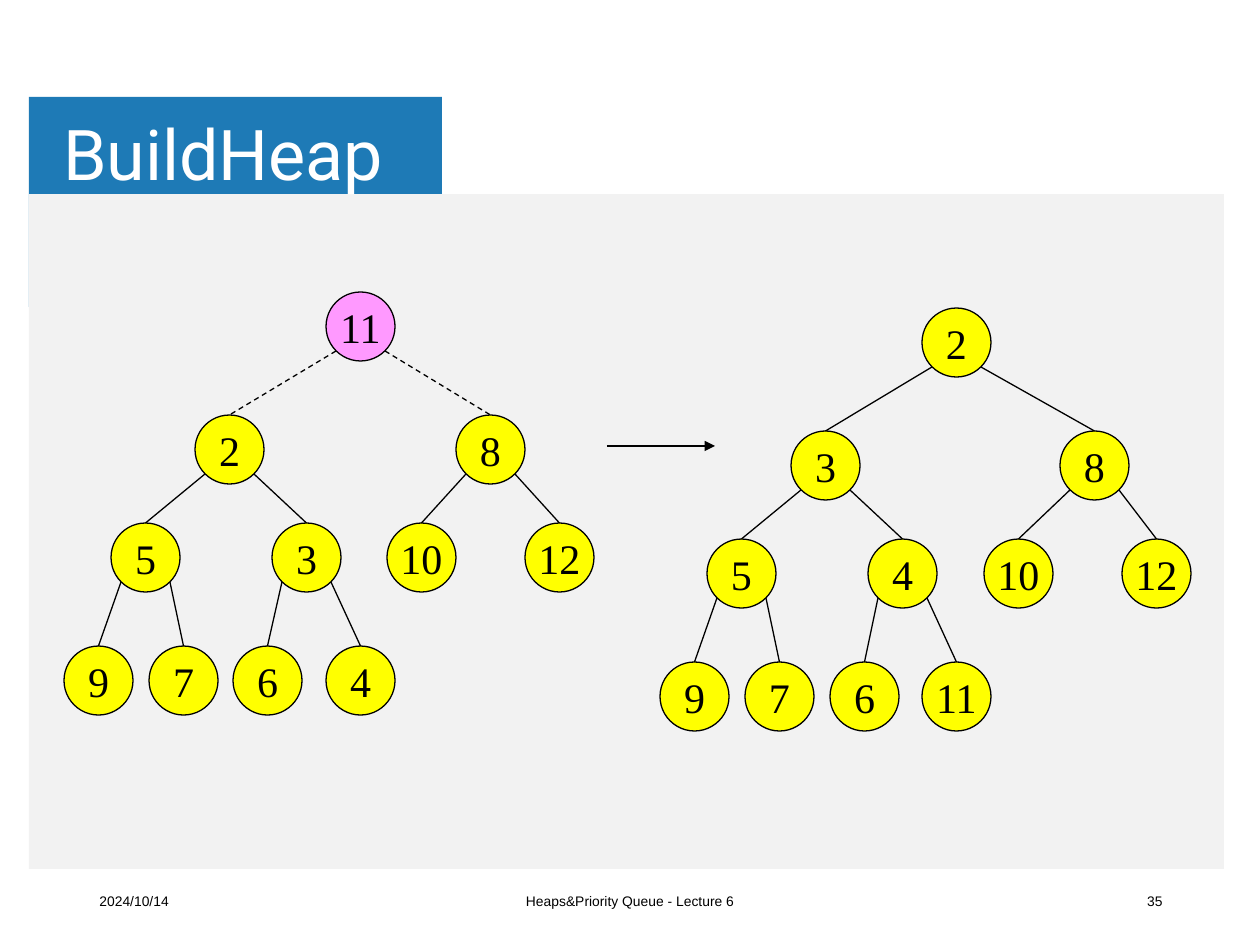
from lxml.etree import SubElement
from pptx import Presentation
from pptx.dml.color import RGBColor
from pptx.enum.dml import MSO_LINE
from pptx.enum.shapes import MSO_CONNECTOR as Link, MSO_SHAPE as Preset
from pptx.enum.text import MSO_ANCHOR as Anchor, PP_ALIGN as Align
from pptx.oxml.ns import qn
from pptx.util import Emu, Pt

BLACK = RGBColor(0, 0, 0)
WHITE = RGBColor(255, 255, 255)
BLUE = RGBColor(0x1E, 0x7A, 0xB6)
GREY = RGBColor(0xF2, 0xF2, 0xF2)
YELLOW = RGBColor(255, 255, 0)
PINK = RGBColor(255, 0x99, 255)

EMU_PER_PX = 914400 / 126
NODE = 69
LEVELS = [0, 123, 231, 354]


def px(length):
    return Emu(round(length * EMU_PER_PX))


class HeapSlide:
    def __init__(self, deck):
        self.slide = deck.slides.add_slide(deck.slide_layouts[6])
        self.shapes = self.slide.shapes

    def fill_text(self, frame, text, size, font, color, align):
        frame.text = text
        frame.vertical_anchor = Anchor.MIDDLE
        paragraph = frame.paragraphs[0]
        paragraph.alignment = align
        style = paragraph.runs[0].font
        style.size, style.name = Pt(size), font
        style.color.rgb = color

    def shape(self, preset, left, top, width, height, fill):
        shape = self.shapes.add_shape(preset, px(left), px(top), px(width), px(height))
        shape.shadow.inherit = False
        shape.fill.solid()
        shape.fill.fore_color.rgb = fill
        return shape

    def panel(self, left, top, width, height, fill):
        self.shape(Preset.RECTANGLE, left, top, width, height, fill).line.fill.background()

    def text(self, left, top, width, height, text, size=7.9, font="Arial",
             color=BLACK, align=Align.LEFT):
        frame = self.shapes.add_textbox(px(left), px(top), px(width), px(height)).text_frame
        frame.word_wrap = True
        self.fill_text(frame, text, size, font, color, align)
        return frame

    def node(self, left, top, key, fill):
        circle = self.shape(Preset.OVAL, left, top, NODE, NODE, fill)
        circle.line.color.rgb = BLACK
        circle.line.width = Pt(0.75)
        circle.text_frame.word_wrap = False
        self.fill_text(circle.text_frame, str(key), 24, "Times New Roman", BLACK, Align.CENTER)
        return circle

    def line(self, x1, y1, x2, y2, dashed=False, arrow=False):
        line = self.shapes.add_connector(Link.STRAIGHT, px(x1), px(y1), px(x2), px(y2))
        line.line.color.rgb = BLACK
        line.line.width = Pt(0.75)
        if dashed:
            line.line.dash_style = MSO_LINE.DASH
        if arrow:
            SubElement(line._element.spPr.find(qn("a:ln")), qn("a:tailEnd"), type="triangle")
        SubElement(line._element.spPr, qn("a:effectLst"))
        return line

    def heap(self, top, keys, lefts, root_fill=YELLOW, root_dashed=False):
        tops = [top + LEVELS[(i + 1).bit_length() - 1] for i in range(len(keys))]
        circles = [self.node(left, y, key, YELLOW if i else root_fill)
                   for i, (left, y, key) in enumerate(zip(lefts, tops, keys))]
        for child in range(1, len(keys)):
            parent = (child - 1) // 2
            side = 10 if child % 2 else 59
            edge = self.line(lefts[parent] + side, tops[parent] + 59,
                             lefts[child] + NODE // 2, tops[child],
                             dashed=root_dashed and parent == 0)
            edge.end_connect(circles[child], 0)


def main():
    deck = Presentation()
    deck.slide_width, deck.slide_height = px(1260), px(945)
    page = HeapSlide(deck)

    page.panel(29, 97, 413, 210, BLUE)
    page.panel(29, 194, 1195, 675, GREY)
    title = page.text(54, 96, 1012, 123, "BuildHeap", 40, "Roboto", WHITE)
    title.paragraphs[0].line_spacing = 0.9
    title.margin_left = title.margin_right = px(9)
    title.margin_top = title.margin_bottom = px(5)

    page.text(87, 876, 284, 50, "2024/10/14")
    page.text(417, 876, 426, 50, "Heaps&Priority Queue - Lecture 6", align=Align.CENTER)
    page.text(891, 876, 284, 50, "35", align=Align.RIGHT)

    page.heap(292, [11, 2, 8, 5, 3, 10, 12, 9, 7, 6, 4],
              [326, 195, 456, 111, 272, 387, 525, 64, 149, 233, 326],
              root_fill=PINK, root_dashed=True)
    page.heap(308, [2, 3, 8, 5, 4, 10, 12, 9, 7, 6, 11],
              [922, 791, 1060, 707, 868, 984, 1122, 660, 745, 830, 922])
    page.line(607, 446, 715, 446, arrow=True)
    deck.save("out.pptx")


if __name__ == "__main__":
    main()
